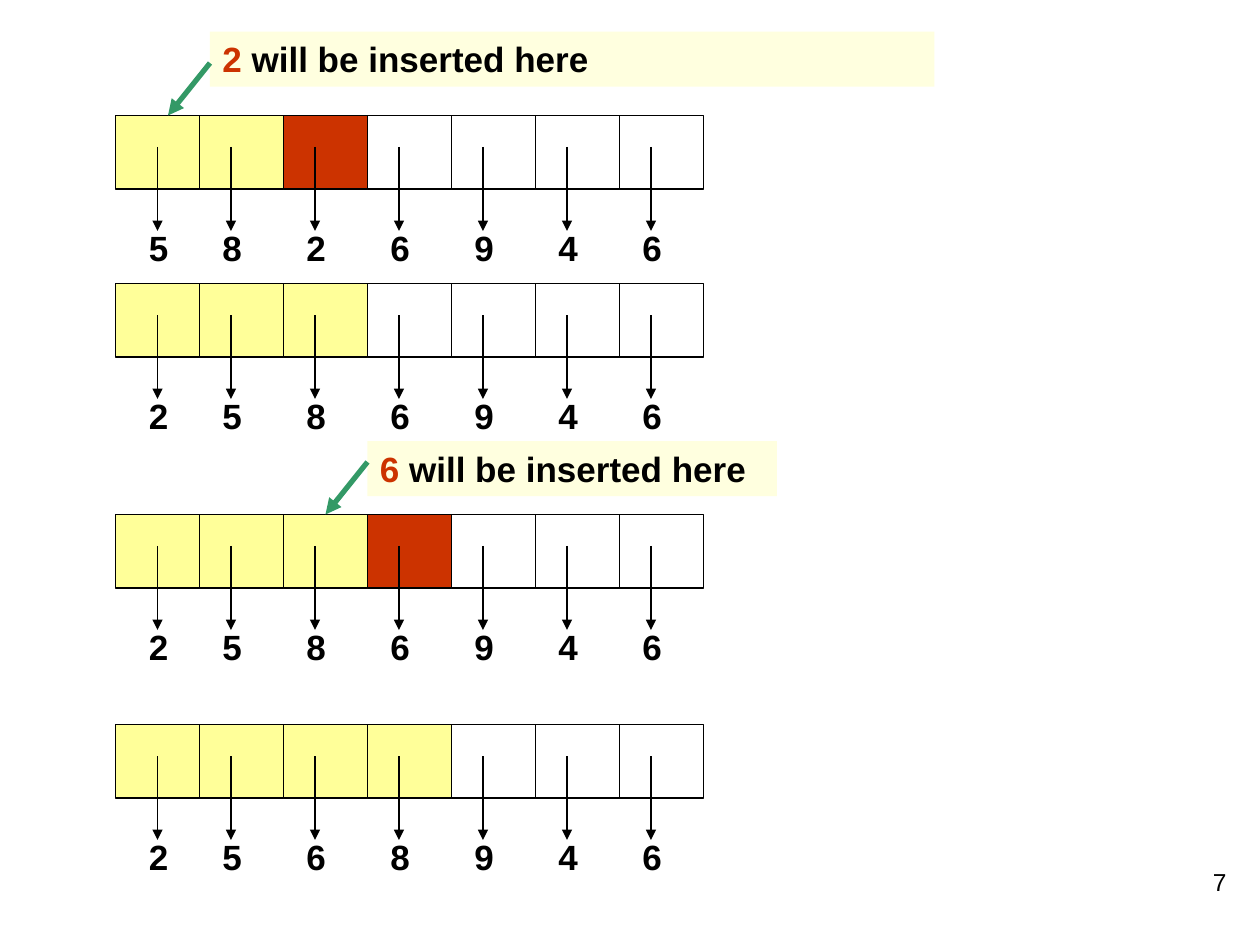
from dataclasses import dataclass

from lxml import etree
from pptx import Presentation
from pptx.dml.color import RGBColor
from pptx.enum.shapes import MSO_CONNECTOR, MSO_SHAPE
from pptx.enum.text import MSO_ANCHOR, PP_ALIGN
from pptx.oxml.ns import qn
from pptx.util import Pt

RECT = MSO_SHAPE.RECTANGLE
LINE = MSO_CONNECTOR.STRAIGHT
TOP = MSO_ANCHOR.TOP
LEFT = PP_ALIGN.LEFT
RIGHT = PP_ALIGN.RIGHT


@dataclass(frozen=True)
class Theme:
    font: str = "Arial"
    ink: str = "000000"
    done: str = "FFFF99"
    key: str = "CC3300"
    note: str = "FFFFDF"
    mark: str = "339966"
    body: float = 20
    small: float = 14
    thin: float = 0.75
    thick: float = 3


class Board:
    def __init__(self, slide, theme):
        self.slide = slide
        self.theme = theme

    def rect(self, x, y, w, h, fill=None, edge=None):
        box = self.slide.shapes.add_shape(RECT, Pt(x), Pt(y), Pt(w), Pt(h))
        box.shadow.inherit = False
        if fill:
            box.fill.solid()
            box.fill.fore_color.rgb = RGBColor.from_string(fill)
        else:
            box.fill.background()
        if edge:
            box.line.color.rgb = RGBColor.from_string(edge)
            box.line.width = Pt(self.theme.thin)
        else:
            box.line.fill.background()
        return box

    def style(self, item, size, bold, align):
        item.alignment = align
        for run in item.runs:
            run.font.name = self.theme.font
            run.font.size = Pt(size)
            run.font.bold = bold
            run.font.color.rgb = RGBColor.from_string(self.theme.ink)

    def text(self, x, y, w, h, words, size, bold=True, align=LEFT):
        box = self.slide.shapes.add_textbox(Pt(x), Pt(y), Pt(w), Pt(h))
        frame = box.text_frame
        frame.word_wrap = True
        frame.text = words
        self.style(frame.paragraphs[0], size, bold, align)

    def arrow(self, x1, y1, x2, y2, color, width):
        line = self.slide.shapes.add_connector(LINE, Pt(x1), Pt(y1), Pt(x2), Pt(y2))
        line.line.color.rgb = RGBColor.from_string(color)
        line.line.width = Pt(width)
        etree.SubElement(line.line._get_or_add_ln(), qn("a:tailEnd"), type="triangle")
        etree.SubElement(line._element.spPr, qn("a:effectLst"))

    def callout(self, x, y, w, key, words, start, end):
        box = self.rect(x, y, w, 31.5, self.theme.note)
        frame = box.text_frame
        frame.word_wrap = True
        frame.vertical_anchor = TOP
        item = frame.paragraphs[0]
        for part in (key, words):
            item.add_run().text = part
        self.style(item, self.theme.body, True, LEFT)
        item.runs[0].font.color.rgb = RGBColor.from_string(self.theme.key)
        self.arrow(*start, *end, self.theme.mark, self.theme.thick)

    def array(self, y, digits, done, key=None):
        theme = self.theme
        for i in range(len(digits)):
            fill = theme.done if i < done else theme.key if i == key else None
            self.rect(66 + 48 * i, y, 48, 42, fill, theme.ink)
        for i, digit in enumerate(digits):
            x = 72 + 48 * i if i else 78
            self.text(x, y + 60, 30, 31.5, digit, theme.body)
            self.arrow(x + 12, y + 18, x + 12, y + 66, theme.ink, theme.thin)


def main():
    deck = Presentation()
    deck.slide_width, deck.slide_height = Pt(720), Pt(540)
    theme = Theme()
    board = Board(deck.slides.add_slide(deck.slide_layouts[6]), theme)

    board.array(66, "5826946", 2, key=2)
    board.callout(120, 18, 414, "2", " will be inserted here", (120, 36), (96, 66))
    board.array(162, "2586946", 3)
    board.array(294, "2586946", 3, key=3)
    board.callout(210, 252, 234, "6", " will be inserted here", (210, 264), (186, 294))
    board.array(414, "2568946", 4)
    board.text(558, 492, 150, 36, "7", theme.small, bold=False, align=RIGHT)

    deck.save("out.pptx")


if __name__ == "__main__":
    main()
